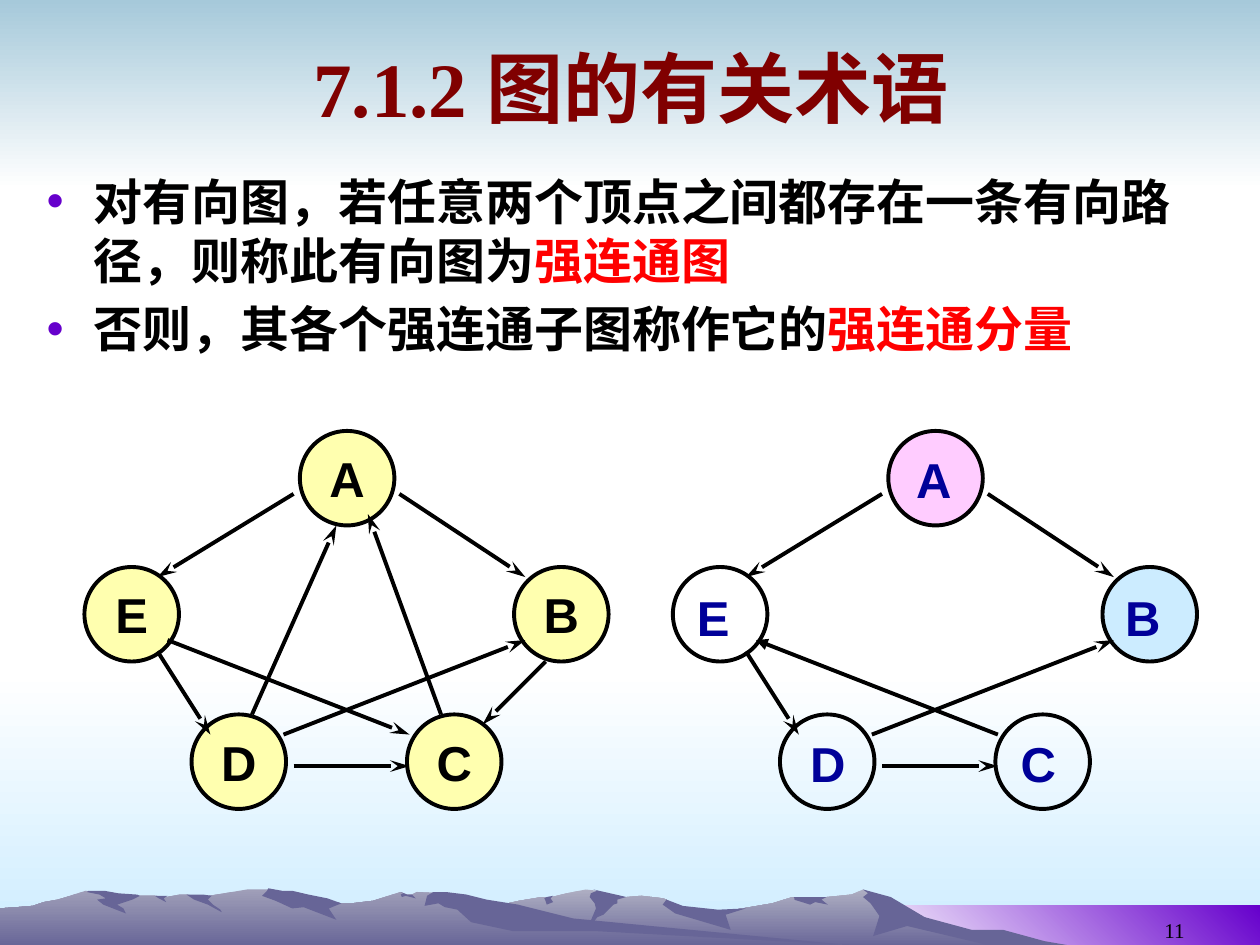
"""Build a slide on strongly connected graphs and their components."""
from lxml import etree
from pptx import Presentation
from pptx.dml.color import RGBColor
from pptx.enum.shapes import MSO_CONNECTOR, MSO_SHAPE
from pptx.enum.text import MSO_ANCHOR, MSO_AUTO_SIZE, PP_ALIGN
from pptx.oxml.ns import qn
from pptx.util import Pt

PX = 9144
OVAL, RECTANGLE, STRAIGHT = MSO_SHAPE.OVAL, MSO_SHAPE.RECTANGLE, MSO_CONNECTOR.STRAIGHT
CENTER, RIGHT = PP_ALIGN.CENTER, PP_ALIGN.RIGHT
TOP, MIDDLE, BOTTOM = MSO_ANCHOR.TOP, MSO_ANCHOR.MIDDLE, MSO_ANCHOR.BOTTOM
NO_AUTOFIT = MSO_AUTO_SIZE.NONE
WHITE = RGBColor(255, 255, 255)
BLACK = RGBColor(0, 0, 0)
RED = RGBColor(255, 0, 0)
MAROON = RGBColor(0x80, 0, 0)
NAVY = RGBColor(0, 0, 0x99)
PURPLE = RGBColor(0x66, 0, 0xCC)
SKY = RGBColor(0xA6, 0xC9, 0xDA)
PALE_BLUE = RGBColor(0xCC, 0xEC, 0xFF)
PINK = RGBColor(0xFF, 0xCC, 0xFF)
YELLOW = RGBColor(0xFF, 0xFF, 0xAF)
SLATE = RGBColor(0x67, 0x65, 0x97)
HAZE = RGBColor(0xAE, 0xAE, 0xC2)
MIST = RGBColor(0x9F, 0x9E, 0xB8)
SERIF, SANS = "Times New Roman", "Arial"

TITLE = "7.1.2 图的有关术语"
BULLETS = [
    ("对有向图，若任意两个顶点之间都存在一条有向路径，则称此有向图为", "强连通图"),
    ("否则，其各个强连通子图称作它的", "强连通分量"),
]
PAGE_NUMBER = "11"

BANDS = [
    ((0, 533, 1000, 217), (WHITE, PALE_BLUE), 270),
    ((0, 0, 1000, 150), (SKY, WHITE), 270),
    ((683, 719, 317, 33), (WHITE, PURPLE), 45),
]
RIGHT_RIDGE = [
    (802, 746), (778, 740), (764, 738), (723, 725), (702, 712), (685, 706), (676, 710),
    (656, 712), (629, 712), (613, 717), (566, 725), (536, 721), (529, 714), (526, 713),
    (509, 711), (486, 713), (474, 707), (465, 706), (450, 709), (438, 712), (430, 712),
    (412, 715), (394, 719), (355, 725), (327, 731), (277, 745), (258, 752), (821, 752)]
RIGHT_SHADOWS = [
    [(796, 738), (771, 738), (734, 728), (707, 712), (685, 706), (689, 709), (685, 712),
     (691, 717), (698, 727), (693, 743), (720, 735), (792, 752), (858, 752), (829, 747)],
    [(471, 706), (474, 707), (469, 709), (468, 712), (472, 717), (473, 721), (465, 740),
     (474, 728), (479, 726), (487, 718), (490, 717), (490, 714), (497, 712), (493, 711)],
    [(529, 714), (526, 718), (536, 725), (580, 738), (576, 726), (592, 721), (570, 722),
     (542, 719)],
    [(650, 712), (630, 712), (631, 714), (630, 714), (643, 718), (647, 716), (657, 718),
     (652, 714), (656, 712)],
    [(433, 715), (432, 713), (434, 712), (439, 711), (437, 713), (439, 716), (434, 718)],
]
LEFT_RIDGE = [
    (690, 752), (667, 750), (432, 732), (354, 709), (331, 708), (327, 710), (323, 710),
    (318, 708), (296, 715), (279, 717), (271, 717), (260, 715), (236, 717), (223, 708),
    (215, 706), (196, 706), (178, 709), (160, 712), (148, 710), (143, 710), (132, 712),
    (123, 711), (111, 711), (94, 712), (68, 707), (56, 711), (46, 714), (35, 716),
    (26, 719), (14, 720), (0, 721), (0, 752)]
LEFT_SHADOWS = [
    [(212, 707), (208, 711), (219, 715), (232, 721), (241, 720), (267, 730), (261, 721),
     (271, 717), (260, 713), (245, 710), (232, 707), (224, 707), (213, 705)],
    [(370, 710), (354, 708), (344, 708), (339, 711), (337, 719), (348, 717), (353, 720),
     (363, 722), (374, 732), (407, 739), (472, 739), (690, 751), (683, 751), (455, 729),
     (427, 722), (411, 718), (386, 714)],
    [(318, 710), (320, 709), (318, 708), (323, 710), (327, 710), (330, 713), (322, 711),
     (319, 712)],
    [(154, 710), (161, 710), (168, 711), (165, 714), (169, 718), (175, 722), (176, 724),
     (165, 718), (154, 714), (148, 710)],
    [(133, 711), (130, 713), (132, 716), (126, 713), (123, 711)],
    [(109, 710), (111, 711), (105, 714), (93, 718), (98, 721), (100, 725), (82, 718),
     (77, 714), (84, 713), (79, 710), (69, 708), (70, 707), (83, 707), (94, 709)],
]
MOUNTAINS = [(RIGHT_RIDGE, HAZE, RIGHT_SHADOWS), (LEFT_RIDGE, MIST, LEFT_SHADOWS)]

NODE_SIZE = 75
GRAPH_SHIFT = 467
NODES = {"A": (238, 342), "B": (408, 450), "C": (323, 567), "D": (152, 567), "E": (67, 450)}
EDGES = {
    "AE": (233, 392, 125, 458), "ED": (125, 517, 167, 583), "DC": (233, 608, 325, 608),
    "AB": (317, 392, 417, 458), "DB": (225, 583, 417, 508), "CA": (350, 567, 292, 408),
    "BC": (433, 525, 383, 575), "DA": (200, 567, 267, 417), "EC": (133, 508, 325, 583),
    "CE": (325, 583, 133, 508),
}
LEFT_EDGES = ["AE", "ED", "DC", "CA", "AB", "BC", "DA", "DB", "EC"]
RIGHT_EDGES = ["AE", "ED", "DC", "AB", "DB", "CE"]
RIGHT_FILLS = {"A": PINK, "B": PALE_BLUE}
RIGHT_LABELS = {"A": (717, 352), "B": (883, 461), "C": (800, 577), "D": (633, 577),
                "E": (542, 461)}
LABEL_SIZE = (48, 57)


def scaled(*lengths):
    return [length * PX for length in lengths]


def style_font(font, size, color, name, bold=True):
    font.size, font.name, font.bold = Pt(size), name, bold
    font.color.rgb = color


def write(shape, text, size, color, name, alignment, anchor, bold=True, wrap=True):
    frame = shape.text_frame
    frame.text = text
    frame.word_wrap, frame.vertical_anchor = wrap, anchor
    paragraph = frame.paragraphs[0]
    paragraph.alignment = alignment
    style_font(paragraph.runs[0].font, size, color, name, bold)


def paint(shape, colors, angle=270):
    shape.shadow.inherit = False
    shape.line.fill.background()
    if len(colors) == 1:
        shape.fill.solid()
        shape.fill.fore_color.rgb = colors[0]
        return
    shape.fill.gradient()
    shape.fill.gradient_angle = angle
    for stop, color in zip(shape.fill.gradient_stops, colors):
        stop.color.rgb = color


def add_outline(shapes, points, colors):
    builder = shapes.build_freeform(*points[0], scale=PX)
    builder.add_line_segments(points[1:], close=True)
    paint(builder.convert_to_shape(), colors)


def add_node(shapes, name, shift, fill):
    left, top = NODES[name]
    node = shapes.add_shape(OVAL, *scaled(left + shift, top, NODE_SIZE, NODE_SIZE))
    node.shadow.inherit = False
    node.line.color.rgb, node.line.width = BLACK, Pt(2.25)
    if fill is None:
        node.fill.background()
    else:
        node.fill.solid()
        node.fill.fore_color.rgb = fill
    return node


def add_edge(shapes, name, shift):
    x1, y1, x2, y2 = EDGES[name]
    edge = shapes.add_connector(STRAIGHT, *scaled(x1 + shift, y1, x2 + shift, y2))
    edge.line.color.rgb, edge.line.width = BLACK, Pt(2.25)
    properties = edge.element.spPr
    arrow, length = ("triangle", "med") if name == "CE" else ("stealth", "lg")
    etree.SubElement(properties.find(qn("a:ln")), qn("a:tailEnd"), type=arrow, len=length)
    etree.SubElement(properties, qn("a:effectLst"))


def add_scenery(slide):
    for box, colors, angle in BANDS:
        paint(slide.shapes.add_shape(RECTANGLE, *scaled(*box)), colors, angle)
    for ridge, crest, shadows in MOUNTAINS:
        shapes = slide.shapes.add_group_shape().shapes
        add_outline(shapes, ridge, (crest, SLATE))
        for shadow in shadows:
            add_outline(shapes, shadow, (SLATE,))
    number = slide.shapes.add_textbox(*scaled(717, 703, 233, 50))
    write(number, PAGE_NUMBER, 12, BLACK, SERIF, RIGHT, BOTTOM, bold=False)


def add_text(slide):
    title, body = slide.shapes.title, slide.placeholders[1]
    for shape, box in ((title, (51, 13, 900, 112)), (body, (27, 131, 945, 567))):
        shape.left, shape.top, shape.width, shape.height = scaled(*box)
        shape.text_frame.auto_size = NO_AUTOFIT
        shape.element.getparent().append(shape.element)
    write(title, TITLE, 44, MAROON, SERIF, CENTER, MIDDLE)
    frame = body.text_frame
    frame.vertical_anchor = TOP
    frame.text = "\n".join(statement for statement, term in BULLETS)
    for index, (paragraph, (statement, term)) in enumerate(zip(frame.paragraphs, BULLETS)):
        bullet_color = etree.SubElement(paragraph._p.get_or_add_pPr(), qn("a:buClr"))
        etree.SubElement(bullet_color, qn("a:srgbClr"), val=str(PURPLE))
        paragraph.space_before = Pt(5.6 if index else 0)
        paragraph.add_run().text = term
        for run, color in zip(paragraph.runs, (BLACK, RED)):
            style_font(run.font, 28, color, SERIF)


def add_graphs(slide):
    shapes = slide.shapes.add_group_shape().shapes
    for name in NODES:
        add_node(shapes, name, GRAPH_SHIFT, RIGHT_FILLS.get(name))
    for name in RIGHT_EDGES:
        add_edge(shapes, name, GRAPH_SHIFT)
    for name, corner in RIGHT_LABELS.items():
        label = shapes.add_textbox(*scaled(*corner, *LABEL_SIZE))
        write(label, name, 28, NAVY, SANS, CENTER, TOP, wrap=False)
    shapes = slide.shapes.add_group_shape().shapes
    for name in NODES:
        node = add_node(shapes, name, 0, YELLOW)
        write(node, name, 28, BLACK, SANS, CENTER, MIDDLE, wrap=False)
    for name in LEFT_EDGES:
        add_edge(shapes, name, 0)


def main():
    presentation = Presentation()
    presentation.slide_width, presentation.slide_height = scaled(1000, 750)
    slide = presentation.slides.add_slide(presentation.slide_layouts[1])
    add_scenery(slide)
    add_text(slide)
    add_graphs(slide)
    presentation.save("out.pptx")


if __name__ == "__main__":
    main()
